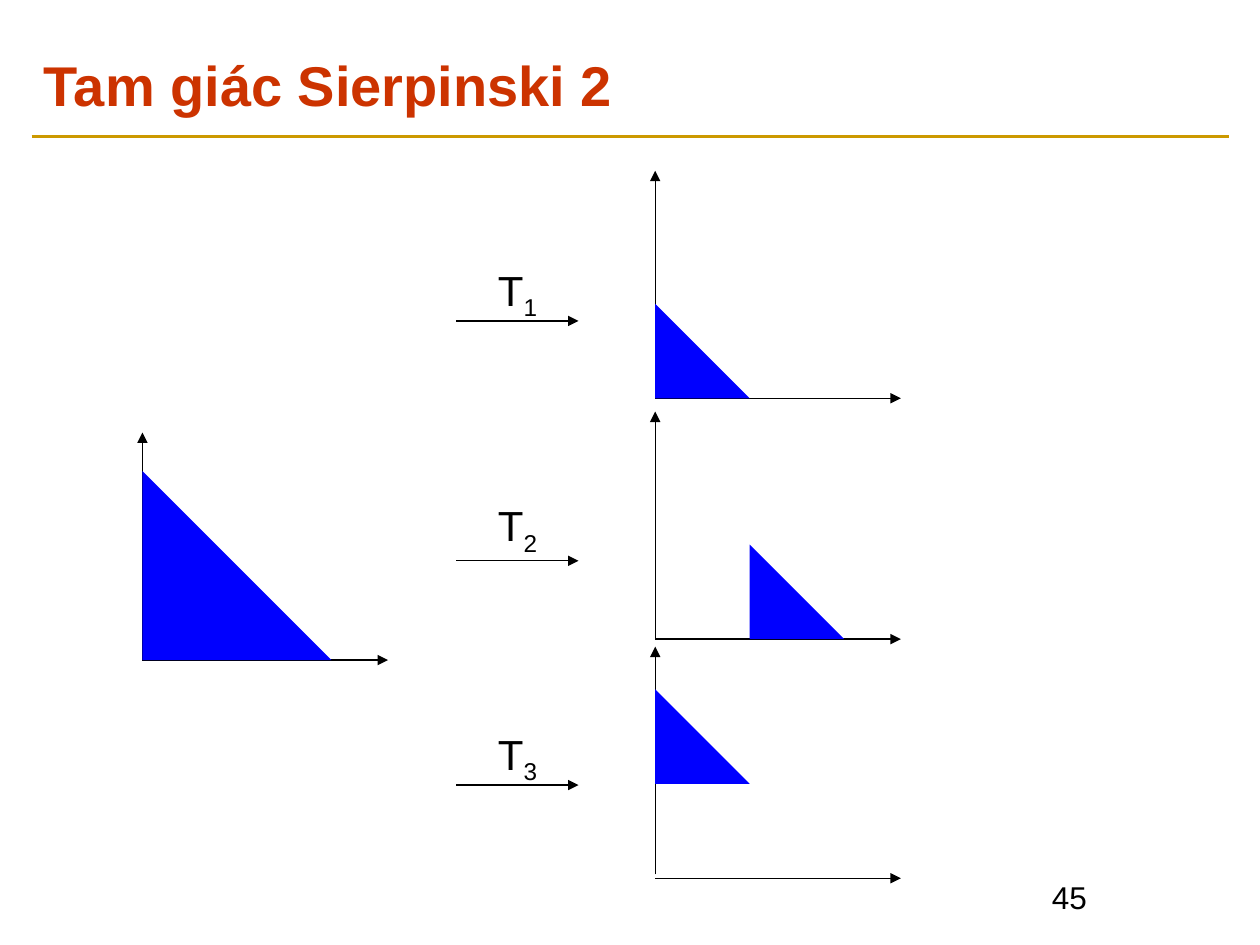
from dataclasses import dataclass

from lxml import etree
from pptx import Presentation
from pptx.dml.color import RGBColor
from pptx.enum.shapes import MSO_CONNECTOR, MSO_SHAPE
from pptx.enum.text import MSO_ANCHOR, PP_ALIGN
from pptx.oxml.ns import qn
from pptx.util import Pt

STRAIGHT = MSO_CONNECTOR.STRAIGHT
TRIANGLE = MSO_SHAPE.RIGHT_TRIANGLE
TOP, MIDDLE = MSO_ANCHOR.TOP, MSO_ANCHOR.MIDDLE
LEFT, CENTER = PP_ALIGN.LEFT, PP_ALIGN.CENTER


@dataclass(frozen=True)
class Theme:
    font: str = "Arial"
    title: RGBColor = RGBColor(0xCC, 0x33, 0x00)
    rule: RGBColor = RGBColor(0xCC, 0x99, 0x00)
    ink: RGBColor = RGBColor(0, 0, 0)
    fill: RGBColor = RGBColor(0, 0, 0xFF)
    title_size: int = 32
    label_size: int = 24
    number_size: int = 18
    rule_width: float = 2.25
    line_width: float = 0.75


THEME = Theme()


def add_line(slide, start, end, color=THEME.ink, width=THEME.line_width, arrow=True):
    points = [Pt(v) for v in (*start, *end)]
    line = slide.shapes.add_connector(STRAIGHT, *points)
    line.line.color.rgb = color
    line.line.width = Pt(width)
    if arrow:
        ln = line.line._get_or_add_ln()
        etree.SubElement(ln, qn("a:tailEnd"), type="triangle")
    etree.SubElement(line._element.spPr, qn("a:effectLst"))


def add_text(slide, box, text, size, color=THEME.ink, bold=False,
             align=LEFT, anchor=TOP, subscript=""):
    tf = slide.shapes.add_textbox(*[Pt(v) for v in box]).text_frame
    tf.word_wrap = True
    tf.vertical_anchor = anchor
    p = tf.paragraphs[0]
    p.alignment = align
    p.font.name = THEME.font
    p.font.size = Pt(size)
    p.font.bold = bold
    p.font.color.rgb = color
    p.add_run().text = text
    if subscript:
        r = p.add_run()
        r.text = subscript
        r._r.get_or_add_rPr().set("baseline", "-25000")


def add_header(slide, box):
    x, y, w, h = box
    add_line(slide, (x, y + h + 6), (x + w, y + h + 6),
             THEME.rule, THEME.rule_width, arrow=False)
    add_text(slide, box, "Tam giác Sierpinski 2", THEME.title_size,
             THEME.title, bold=True, anchor=MIDDLE)


def add_plot(slide, box, side, offset=(0, 0), gap=0):
    x, y, w, h = box
    base = y + h
    add_line(slide, (x, base), (x + w, base))
    add_line(slide, (x, base - gap), (x, y))
    dx, dy = offset
    corner = (x + dx, base - dy - side, side, side)
    s = slide.shapes.add_shape(TRIANGLE, *[Pt(v) for v in corner])
    s.shadow.inherit = False
    s.fill.solid()
    s.fill.fore_color.rgb = THEME.fill
    s.line.fill.background()


def add_transform(slide, box, arrow_y, index):
    x, y, w, h = box
    add_line(slide, (x, arrow_y), (x + w, arrow_y))
    add_text(slide, (x + (w - 38) / 2, y, 38, h), "T", THEME.label_size,
             align=CENTER, subscript=str(index))


def main():
    prs = Presentation()
    prs.slide_width, prs.slide_height = Pt(720), Pt(540)
    slide = prs.slides.add_slide(prs.slide_layouts[6])

    add_header(slide, (18, 24, 684, 48))
    add_text(slide, (594, 498, 108, 36), "45", THEME.number_size)

    side = 108
    half = side / 2
    axis_w, axis_h = 140.4, 130
    add_plot(slide, (81.4, 247.2, axis_w, axis_h), side)

    rows = [
        (97.6, axis_h, (0, 0), 0, 147.6, 183.4),
        (235.2, axis_h, (half, 0), 0, 282.2, 320.5),
        (369.5, 132.4, (0, half), 2.2, 412.6, 448.6),
    ]
    for index, (top, height, offset, gap, label_y, arrow_y) in enumerate(rows, 1):
        add_plot(slide, (374.4, top, axis_w, height), half, offset, gap)
        add_transform(slide, (260.8, label_y, 69.8, 36), arrow_y, index)

    prs.save("out.pptx")


if __name__ == "__main__":
    main()
